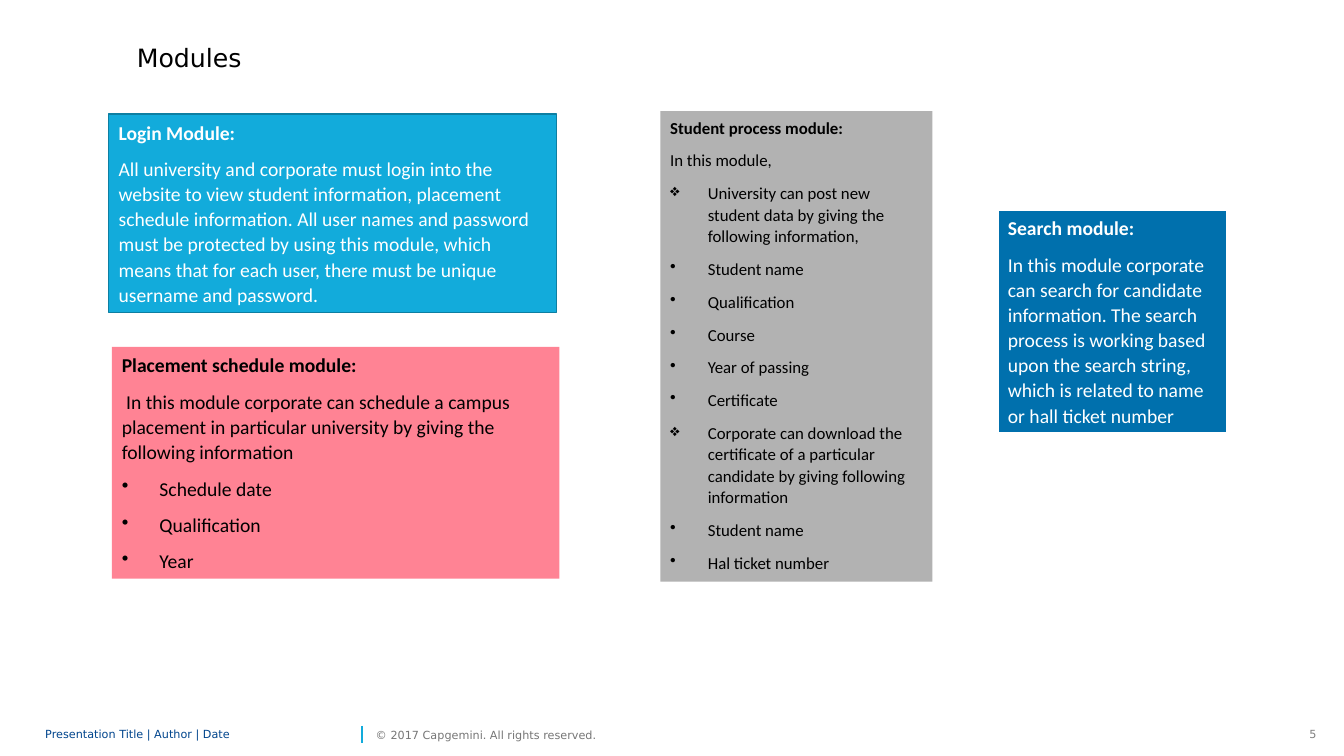
from pptx import Presentation
from pptx.dml.color import RGBColor
from pptx.enum.shapes import MSO_CONNECTOR, MSO_SHAPE
from pptx.enum.text import MSO_ANCHOR, PP_ALIGN
from pptx.oxml.xmlchemy import OxmlElement
from pptx.util import Cm, Pt

WHITE = RGBColor(0xFF, 0xFF, 0xFF)
BLACK = RGBColor(0x00, 0x00, 0x00)
CYAN = RGBColor(0x12, 0xAB, 0xDB)
DARK_CYAN = RGBColor(0x0D, 0x7F, 0xA2)
GRAY = RGBColor(0xB2, 0xB2, 0xB2)
PINK = RGBColor(0xFF, 0x83, 0x94)
BLUE = RGBColor(0x00, 0x70, 0xAD)
NAVY = RGBColor(0x00, 0x45, 0x8D)
NUMBER_GRAY = RGBColor(0x80, 0x80, 0x80)
COPYRIGHT_GRAY = RGBColor(0x76, 0x76, 0x76)

BODY_FONT = "Calibri"
LABEL_FONT = "DejaVu Sans"
DOT, DIAMOND = "•", "❖"
FOOTER_TOP, FOOTER_HEIGHT = 18.21, 0.61

LOGIN = [
    (None, "All university and corporate must login into the website to view "
           "student information, placement schedule information. All user names "
           "and password must be protected by using this module, which means that "
           "for each user, there must be unique username and password."),
]
STUDENT = [
    (None, "In this module,"),
    (DIAMOND, "University can post new student data by giving the following information,"),
    (DOT, "Student name"),
    (DOT, "Qualification"),
    (DOT, "Course"),
    (DOT, "Year of passing"),
    (DOT, "Certificate"),
    (DIAMOND, "Corporate can download the certificate of a particular candidate "
              "by giving following information"),
    (DOT, "Student name"),
    (DOT, "Hal ticket number"),
]
PLACEMENT = [
    (None, " In this module corporate can schedule a campus placement in "
           "particular university by giving the following information"),
    (DOT, "Schedule date"),
    (DOT, "Qualification"),
    (DOT, "Year"),
]
SEARCH = [
    (None, "In this module corporate can search for candidate information. "
           "The search process is working based upon the search string, "
           "which is related to name or hall ticket number"),
]


def write(para, text, *, size, color, font=LABEL_FONT, bold=False,
          align=PP_ALIGN.LEFT, spacing=None, after=0):
    para.alignment = align
    para.line_spacing = spacing
    para.space_after = Pt(after)
    span = para.add_run()
    span.text = text
    span.font.name = font
    span.font.size = Pt(size)
    span.font.bold = bold
    span.font.color.rgb = color


def add_bullet(para, symbol):
    """Give the paragraph a bullet with a hanging indent."""
    properties = para._p.get_or_add_pPr()
    properties.set("marL", str(Cm(0.95)))
    properties.set("indent", str(Cm(-0.95)))
    bullet = OxmlElement("a:buChar")
    bullet.set("char", symbol)
    properties.append(bullet)


def add_label(page, text, left, top, width, height, *, inset=True, wrap=True, **style):
    """Add one line of text; without inset it is centred vertically."""
    box = page.shapes.add_textbox(Cm(left), Cm(top), Cm(width), Cm(height))
    frame = box.text_frame
    frame.word_wrap = wrap
    if not inset:
        frame.margin_left = frame.margin_right = 0
        frame.margin_top = frame.margin_bottom = 0
        frame.vertical_anchor = MSO_ANCHOR.MIDDLE
    write(frame.paragraphs[0], text, **style)


def add_module(page, title, entries, left, top, width, height, *,
               fill, color, size=14, outline=None, outline_width=1):
    """Add a filled panel with a bold title above (bullet, text) entries."""
    box = page.shapes.add_shape(MSO_SHAPE.RECTANGLE, Cm(left), Cm(top), Cm(width), Cm(height))
    box.shadow.inherit = False
    box.fill.solid()
    box.fill.fore_color.rgb = fill
    if outline is None:
        box.line.fill.background()
    else:
        box.line.color.rgb = outline
        box.line.width = Pt(outline_width)
    frame = box.text_frame
    frame.word_wrap = True
    frame.vertical_anchor = MSO_ANCHOR.TOP
    style = {"size": size, "color": color, "font": BODY_FONT, "spacing": 1.07, "after": 8}
    write(frame.paragraphs[0], title, bold=True, **style)
    for symbol, text in entries:
        para = frame.add_paragraph()
        if symbol:
            add_bullet(para, symbol)
        write(para, text, **style)


def add_divider(page, x, top, bottom):
    divider = page.shapes.add_connector(MSO_CONNECTOR.STRAIGHT, Cm(x), Cm(top), Cm(x), Cm(bottom))
    divider.line.color.rgb = CYAN
    divider.line.width = Pt(1)
    divider._element.spPr.append(OxmlElement("a:effectLst"))


def add_footer(page):
    add_label(page, "Presentation Title | Author | Date", 1.14, FOOTER_TOP, 7.85, FOOTER_HEIGHT,
              inset=False, size=8, color=NAVY, spacing=0.85)
    add_divider(page, 9.12, 18.29, 18.72)
    add_label(page, "© 2017 Capgemini. All rights reserved.", 9.47, FOOTER_TOP, 6.17, FOOTER_HEIGHT,
              inset=False, wrap=False, size=8, color=COPYRIGHT_GRAY)
    add_label(page, "5", 32.74, FOOTER_TOP, 0.69, FOOTER_HEIGHT,
              wrap=False, size=8, color=NUMBER_GRAY, align=PP_ALIGN.RIGHT)


def main():
    deck = Presentation()
    deck.slide_width, deck.slide_height = Cm(33.87), Cm(19.05)
    page = deck.slides.add_slide(deck.slide_layouts[6])
    add_label(page, "Modules", 3.2, 0.94, 15.93, 1.02, size=18, color=BLACK)
    add_module(page, "Login Module:", LOGIN, 2.74, 2.87, 11.28, 5,
               fill=CYAN, color=WHITE, outline=DARK_CYAN)
    add_module(page, "Student process module:", STUDENT, 16.64, 2.8, 6.86, 11.86,
               fill=GRAY, color=BLACK, size=12)
    add_module(page, "Placement schedule module:", PLACEMENT, 2.82, 8.74, 11.28, 5.84,
               fill=PINK, color=BLACK)
    add_module(page, "Search module:", SEARCH, 25.15, 5.28, 5.77, 5.64,
               fill=BLUE, color=WHITE, outline=WHITE, outline_width=1.5)
    add_footer(page)
    deck.save("out.pptx")


if __name__ == "__main__":
    main()
